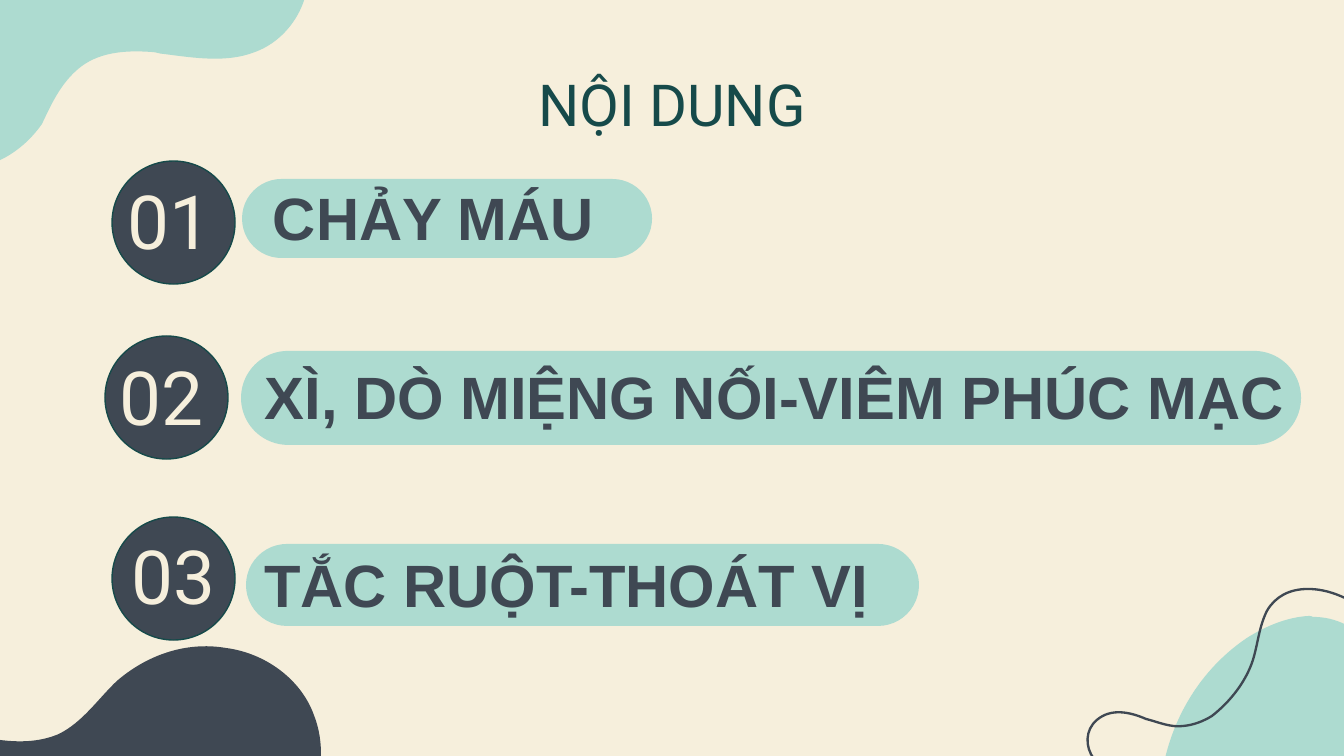
from lxml.etree import SubElement
from pptx import Presentation
from pptx.dml.color import RGBColor
from pptx.enum.shapes import MSO_SHAPE as Shape
from pptx.enum.text import MSO_ANCHOR as Anchor, MSO_AUTO_SIZE as AutoSize, PP_ALIGN as Align
from pptx.oxml.ns import qn
from pptx.util import Pt

EMU_PER_PX = 914400 / 134.4
CREAM, MINT, SLATE, TEAL = "F6EFDC", "ADDBD0", "3F4853", "164A4A"
DISC = 123

TOP_BLOB = [(308, -28), (306, -39), (304, -50), (298, -58), (255, -117), (172, -43), (122, -89),
            (99, -110), (93, -125), (55, -113), (24, -103), (-1, -78), (-7, -46),
            (-9, -30), (-7, -12), (-8, 5), (-8, 15), (-9, 26), (-15, 34),
            (-31, 60), (-69, 65), (-85, 91), (-101, 121), (-75, 161), (-43, 167),
            (-9, 172), (23, 151), (42, 124), (51, 105), (60, 85), (77, 70),
            (97, 52), (125, 50), (152, 52), (156, 52), (160, 54), (164, 54),
            (195, 58), (227, 63), (255, 52), (288, 40), (310, 5), (308, -28)]
LEFT_BLOB = [(316, 789), (323, 763), (323, 738), (314, 715), (301, 679), (265, 653), (226, 648),
             (185, 641), (146, 656), (117, 681), (98, 699), (83, 722), (59, 734),
             (24, 749), (-17, 738), (-54, 728), (-73, 723), (-94, 719), (-113, 719)]
RIGHT_BLOB = [(1359, 763), (1374, 745), (1384, 724), (1386, 706), (1390, 659), (1360, 617), (1313, 617),
              (1312, 616), (1310, 616), (1309, 616), (1288, 617), (1266, 626), (1247, 638),
              (1204, 667), (1175, 712), (1164, 763)]
SQUIGGLE = [(1365, 609), (1347, 598), (1329, 589), (1308, 589), (1289, 589), (1275, 597), (1267, 611),
            (1259, 627), (1258, 644), (1253, 660), (1246, 682), (1230, 702), (1212, 716),
            (1204, 721), (1194, 725), (1184, 726), (1171, 728), (1158, 722), (1146, 719),
            (1130, 712), (1111, 708), (1097, 720), (1085, 730), (1085, 747), (1094, 759),
            (1098, 766), (1105, 772), (1111, 778), (1119, 786), (1125, 795), (1129, 805),
            (1133, 820), (1133, 837), (1129, 853)]

PILLS = [(246, 544, 673, 82), (241, 351, 1060, 94), (242, 179, 410, 79)]
DISC_CORNERS = [(112, 517), (105, 336), (112, 161)]
TOPICS = [
    ("CHẢY MÁU", (205, 184, 457, 79), "01", (120, 161, 99, 117)),
    ("XÌ, DÒ MIỆNG NỐI-VIÊM PHÚC MẠC", (249, 363, 1052, 79), "02", (112, 344, 99, 103)),
    ("TẮC RUỘT-THOÁT VỊ", (181, 551, 771, 79), "03", (124, 523, 99, 103)),
]


def px(*lengths):
    """Turn pixel lengths into EMU."""
    return [round(length * EMU_PER_PX) for length in lengths]


def color(hex_code):
    """Return the colour of a hex string."""
    return RGBColor.from_string(hex_code)


def paint(shape, fill=None, line=None, width=0.75):
    """Give a shape its fill and outline, without a shadow."""
    shape.shadow.inherit = False
    if fill:
        shape.fill.solid()
        shape.fill.fore_color.rgb = color(fill)
    else:
        shape.fill.background()
    if line:
        shape.line.color.rgb = color(line)
        shape.line.width = Pt(width)
    else:
        shape.line.fill.background()


def add_curve(slide, controls, corners=(), closed=True, **look):
    """Draw a chain of cubic curves, followed by straight-edged corners."""
    start, *rest = [px(*point) for point in [*controls, *corners]]
    builder = slide.shapes.build_freeform(*start)
    builder.add_line_segments(rest, close=closed)
    shape = builder.convert_to_shape()
    outline = next(shape.element.iter(qn("a:path")))
    edges = outline.findall(qn("a:lnTo"))[:len(controls) - 1]
    for i in range(0, len(edges), 3):
        curve = SubElement(outline, qn("a:cubicBezTo"))
        edges[i].addprevious(curve)
        for edge in edges[i:i + 3]:
            curve.append(edge[0])
            outline.remove(edge)
    paint(shape, **look)


def add_shape(slide, preset, box, **look):
    """Add a preset shape."""
    shape = slide.shapes.add_shape(preset, *px(*box))
    paint(shape, **look)
    return shape


def write(shape, text, size, ink, font="Roboto", bold=False, spacing=1.0, anchor=Anchor.MIDDLE):
    """Write one centred line of text in a shape without margins."""
    frame = shape.text_frame
    frame.margin_left = frame.margin_right = frame.margin_top = frame.margin_bottom = 0
    frame.auto_size = AutoSize.NONE
    frame.word_wrap = True
    frame.vertical_anchor = anchor
    frame.text = text
    paragraph = frame.paragraphs[0]
    paragraph.alignment = Align.CENTER
    paragraph.line_spacing = spacing
    run_font = paragraph.runs[0].font
    run_font.name, run_font.size, run_font.bold = font, Pt(size), bold
    run_font.color.rgb = color(ink)


def add_topic(slide, heading, heading_box, number, number_box):
    """Add the heading and the number of a topic."""
    write(slide.shapes.add_textbox(*px(*heading_box)), heading, 32, SLATE,
          font="Arial", bold=True, spacing=0.8)
    write(slide.shapes.add_textbox(*px(*number_box)), number, 40, CREAM)


def main():
    """Build the contents slide."""
    deck = Presentation()
    deck.slide_width, deck.slide_height = px(1344, 756)
    slide = deck.slides.add_slide(deck.slide_layouts[5])
    slide.background.fill.solid()
    slide.background.fill.fore_color.rgb = color(CREAM)

    add_curve(slide, RIGHT_BLOB, fill=MINT)
    add_curve(slide, LEFT_BLOB, corners=[(-113, 789)], fill=SLATE)
    add_curve(slide, TOP_BLOB, fill=MINT)
    add_curve(slide, SQUIGGLE, closed=False, line=SLATE, width=1.25)

    for box in PILLS:
        add_shape(slide, Shape.ROUNDED_RECTANGLE, box, fill=MINT).adjustments[0] = 0.5
    for corner in DISC_CORNERS:
        add_shape(slide, Shape.OVAL, (*corner, DISC, DISC), fill=SLATE, line=TEAL)

    title = slide.shapes.title
    title.left, title.top, title.width, title.height = px(105, 69, 1134, 67)
    write(title, "NỘI DUNG", 31, TEAL, anchor=Anchor.TOP)
    for topic in TOPICS:
        add_topic(slide, *topic)
    deck.save("out.pptx")


if __name__ == "__main__":
    main()
